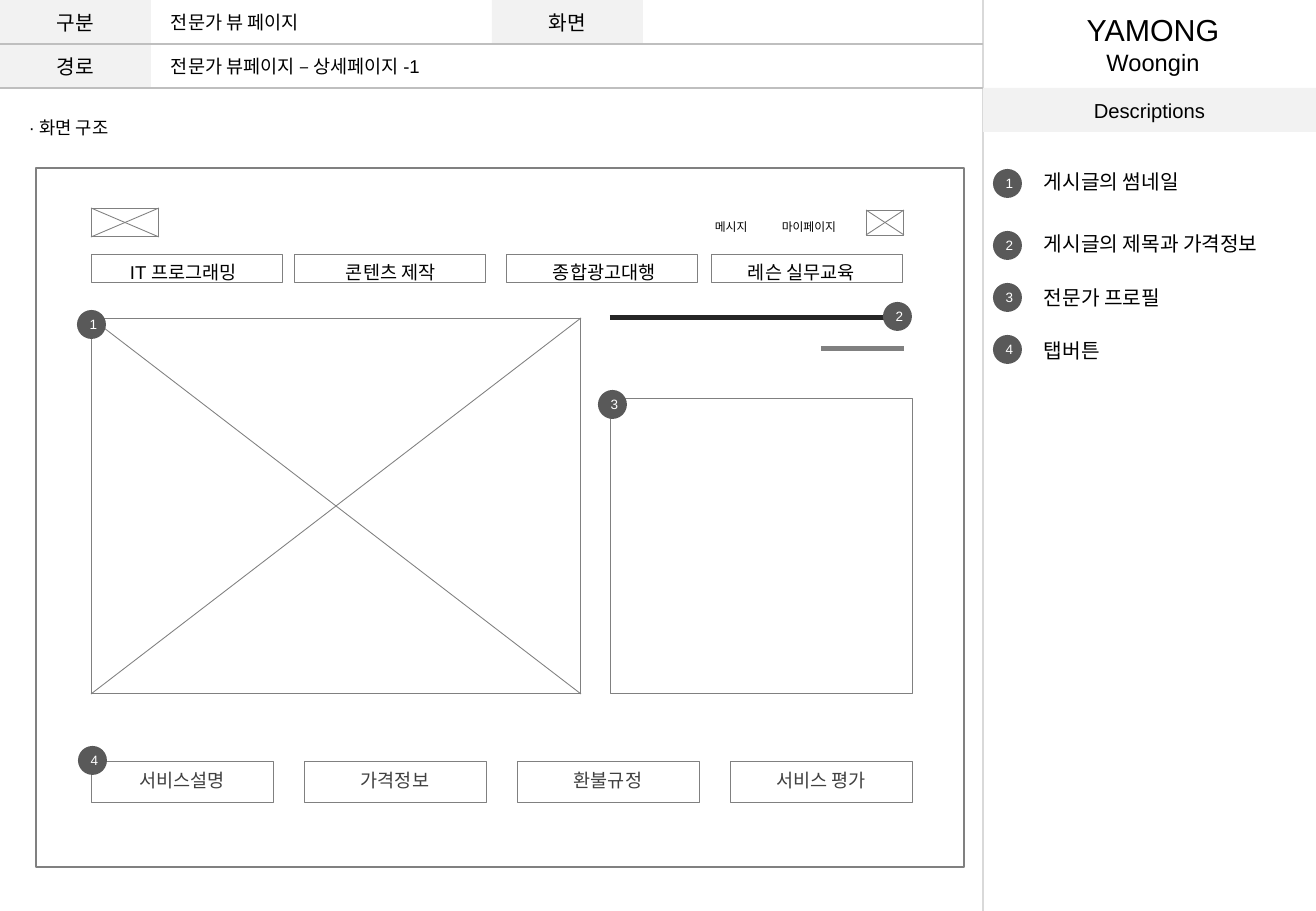
from dataclasses import dataclass
from lxml.etree import SubElement
from pptx import Presentation
from pptx.dml.color import RGBColor
from pptx.enum.shapes import MSO_CONNECTOR, MSO_SHAPE
from pptx.enum.text import MSO_ANCHOR, MSO_AUTO_SIZE, PP_ALIGN
from pptx.oxml.ns import qn
from pptx.util import Pt


@dataclass(frozen=True)
class Theme:
    font: str = "Arial"
    ink: str = "000000"
    white: str = "FFFFFF"
    band: str = "F2F2F2"
    edge: str = "D9D9D9"
    rule: str = "BFBFBF"
    wire: str = "808080"
    dark: str = "262626"
    badge: str = "595959"
    tab: str = "404040"
    brand: float = 18
    owner: float = 14
    label: float = 12
    body: float = 11
    note: float = 10.5
    small: float = 8
    tiny: float = 7
    thin: float = 0.5
    fine: float = 0.75
    firm: float = 1
    thick: float = 3


theme = Theme()
SCALE = 914400 / 121.5
WIDE, HIGH = 1316, 911
SIDE, ROW = 983, 44
DOT = 29

HEADS = [("구분", 0, 0, 151), ("화면", 492, 0, 151), ("경로", 0, ROW, 151),
         ("Descriptions", SIDE, 2 * ROW, WIDE - SIDE)]
TITLE = [("YAMONG", theme.brand), ("Woongin", theme.owner)]
NOTES = [
    ("전문가 뷰 페이지", 159, 5, 166, 35, theme.body),
    ("전문가 뷰페이지 – 상세페이지 -1", 159, 49, 303, 35, theme.body),
    ("· 화면 구조", 17, 111, 115, 35, theme.note),
    ("메시지", 703, 214, 61, 27, theme.tiny),
    ("마이페이지", 770, 214, 84, 27, theme.tiny),
]
IMAGES = [(91, 208, 68, 29), (866, 210, 38, 25), (91, 318, 490, 376)]
MENU = [("IT 프로그래밍", 91, 118, 140), ("콘텐츠 제작", 294, 334, 124),
        ("종합광고대행", 506, 541, 137), ("레슨 실무교육", 711, 736, 142)]
TABS = ["서비스설명", "가격정보", "환불규정", "서비스 평가"]
LEGEND = [("게시글의 썸네일", 169, 163, 174), ("게시글의 제목과 가격정보", 231, 225, 261),
          ("전문가 프로필", 283, 279, 153), ("탭버튼", 335, 332, 86)]
MARKS = [(77, 310), (883, 302), (598, 390), (78, 746)]


def emu(*sizes):
    return [round(size * SCALE) for size in sizes]


def color(code):
    return RGBColor.from_string(code)


def write(frame, lines, ink, align):
    for i, (text, size) in enumerate(lines):
        para = frame.paragraphs[0] if i == 0 else frame.add_paragraph()
        para.text = text
        para.alignment = align
        para.font.name = theme.font
        para.font.size = Pt(size)
        para.font.color.rgb = color(ink)


def label(lines, x, y, w, h, ink=theme.ink, align=PP_ALIGN.LEFT, wrap=False):
    frame = page.shapes.add_textbox(*emu(x, y, w, h)).text_frame
    frame.word_wrap = wrap
    frame.auto_size = MSO_AUTO_SIZE.SHAPE_TO_FIT_TEXT
    write(frame, lines, ink, align)


def solid(kind, text, size, x, y, w, h, fill, ink):
    shape = page.shapes.add_shape(kind, *emu(x, y, w, h))
    shape.shadow.inherit = False
    shape.fill.solid()
    shape.fill.fore_color.rgb = color(fill)
    shape.line.fill.background()
    shape.text_frame.vertical_anchor = MSO_ANCHOR.MIDDLE
    write(shape.text_frame, [(text, size)], ink, PP_ALIGN.CENTER)


def outline(shapes, x, y, w, h, width=theme.thin):
    shape = shapes.add_shape(MSO_SHAPE.RECTANGLE, *emu(x, y, w, h))
    shape.shadow.inherit = False
    shape.fill.background()
    shape.line.color.rgb = color(theme.wire)
    shape.line.width = Pt(width)


def line(shapes, x1, y1, x2, y2, ink, width):
    link = shapes.add_connector(MSO_CONNECTOR.STRAIGHT, *emu(x1, y1, x2, y2))
    link.line.color.rgb = color(ink)
    link.line.width = Pt(width)
    SubElement(link._element.spPr, qn("a:effectLst"))


def image(x, y, w, h):
    shapes = page.shapes.add_group_shape().shapes
    outline(shapes, x, y, w, h)
    line(shapes, x, y + h, x + w, y, theme.wire, theme.thin)
    line(shapes, x + w, y + h, x, y, theme.wire, theme.thin)


def badge(num, x, y):
    solid(MSO_SHAPE.OVAL, str(num), theme.small, x, y, DOT, DOT, theme.badge, theme.white)


def header():
    line(page.shapes, SIDE, 0, SIDE, HIGH, theme.edge, theme.fine)
    for text, x, y, w in HEADS:
        solid(MSO_SHAPE.RECTANGLE, text, theme.label, x, y, w, ROW, theme.band, theme.ink)
    for y in (ROW, 2 * ROW):
        line(page.shapes, 0, y, SIDE, y, theme.rule, theme.fine)
    label(TITLE, 1073, 5, 160, 78, align=PP_ALIGN.CENTER)
    for text, x, y, w, h, size in NOTES:
        label([(text, size)], x, y, w, h)


def layout():
    outline(page.shapes, 36, 168, 928, 699, theme.firm)
    for box in IMAGES:
        image(*box)
    line(page.shapes, 610, 318, 904, 318, theme.dark, theme.thick)
    line(page.shapes, 821, 349, 904, 349, theme.wire, theme.thick)
    outline(page.shapes, 610, 398, 302, 296)
    for text, x, left, w in MENU:
        outline(page.shapes, x, 254, 191, 29)
        label([(text, theme.body)], left, 255, w, 35)
    for i, text in enumerate(TABS):
        x = 91 + 213 * i
        outline(page.shapes, x, 761, 182, 42)
        label([(text, theme.body)], x, 763, 182, 35, theme.tab, PP_ALIGN.CENTER, True)


def legend():
    for num, (text, y, top, w) in enumerate(LEGEND, 1):
        badge(num, 993, y)
        label([(text, theme.label)], 1032, top, w, 36)
    for num, spot in enumerate(MARKS, 1):
        badge(num, *spot)


deck = Presentation()
deck.slide_width, deck.slide_height = emu(WIDE, HIGH)
page = deck.slides.add_slide(deck.slide_layouts[6])
header()
layout()
legend()
deck.save("out.pptx")
